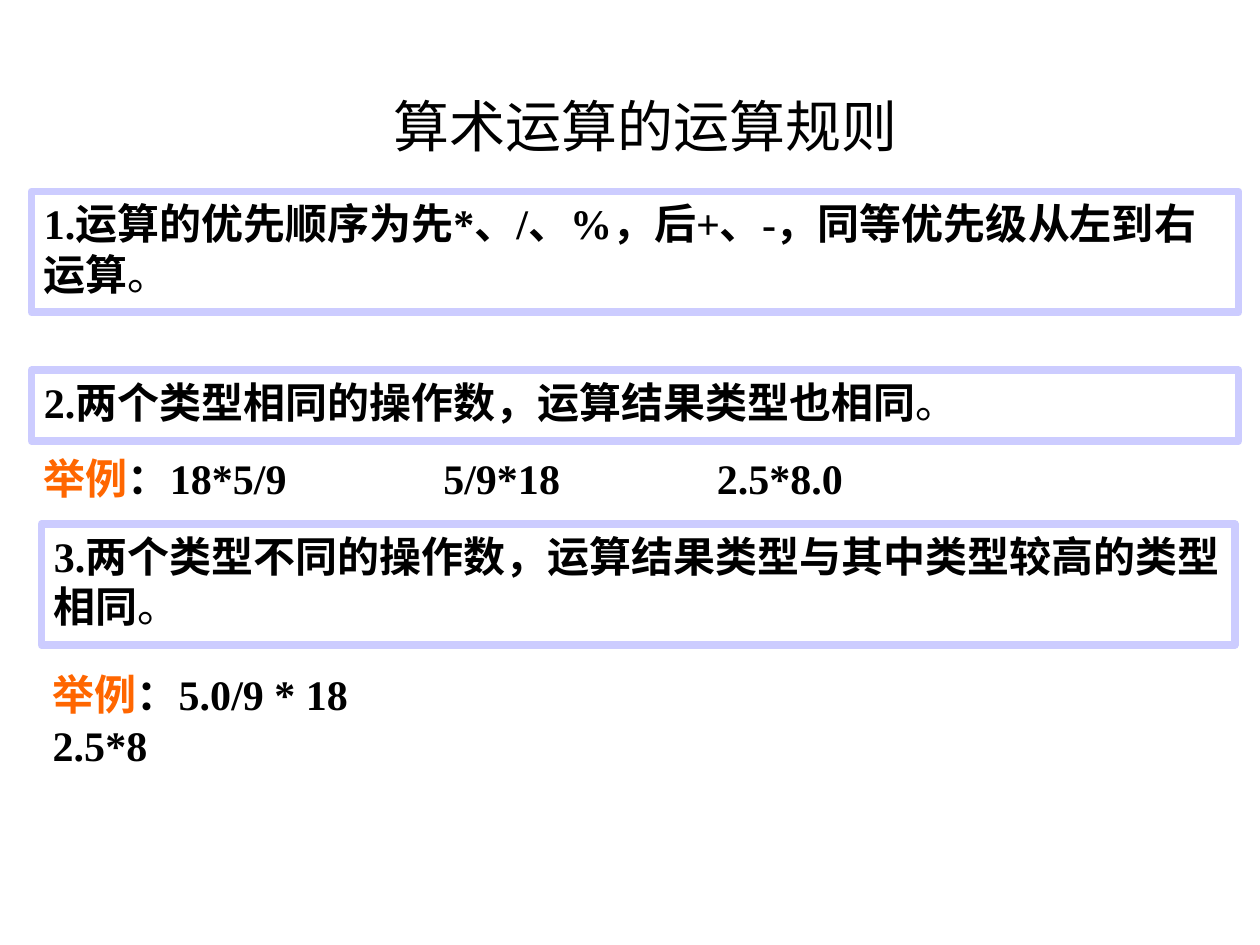
from lxml import etree
from pptx import Presentation
from pptx import util as u
from pptx.dml import color
from pptx.enum import shapes, text
from pptx.oxml import ns

HUES = {"ink": "000000", "tag": "FF6600", "edge": "CCCCFF"}
HAN = "Noto Sans CJK SC"
BODY = {"name": "Times New Roman", "size": u.Pt(24), "bold": True}
HEAD = {"name": HAN, "size": u.Pt(32), "bold": False}


def rgb(key):
    return color.RGBColor.from_string(HUES[key])


def add_run(para, words, style, hue="ink"):
    run = para.add_run()
    run.text = words
    for key, val in style.items():
        setattr(run.font, key, val)
    run.font.color.rgb = rgb(hue)
    props = run.font._element
    east = etree.Element(ns.qn("a:ea"), typeface=HAN)
    props.find(ns.qn("a:latin")).addnext(east)
    return props


def add_shade(props):
    list_el = etree.Element(ns.qn("a:effectLst"))
    shade = etree.SubElement(list_el, ns.qn("a:outerShdw"),
                             dist="38100", dir="2700000", algn="tl")
    tint = etree.SubElement(shade, ns.qn("a:srgbClr"), val=HUES["ink"])
    etree.SubElement(tint, ns.qn("a:alpha"), val="50000")
    props.find(ns.qn("a:solidFill")).addnext(list_el)


def set_title(slide, box):
    title = slide.shapes.title
    for key, val in zip(("left", "top", "width", "height"), box):
        setattr(title, key, u.Inches(val))
    frame = title.text_frame
    frame.vertical_anchor = text.MSO_ANCHOR.BOTTOM
    para = frame.paragraphs[0]
    para.alignment = text.PP_ALIGN.CENTER
    add_shade(add_run(para, "算术运算的运算规则", HEAD))


def add_rule(slide, box, words):
    rule = slide.shapes.add_shape(shapes.MSO_SHAPE.RECTANGLE, *map(u.Inches, box))
    rule.shadow.inherit = False
    rule.fill.background()
    rule.line.color.rgb = rgb("edge")
    rule.line.width = u.Pt(4.5)
    frame = rule.text_frame
    frame.word_wrap = True
    frame.vertical_anchor = text.MSO_ANCHOR.TOP
    para = frame.paragraphs[0]
    para.alignment = text.PP_ALIGN.LEFT
    add_run(para, words, BODY)
    add_run(para, "。", {**BODY, "bold": False})


def add_case(slide, box, lines, stops=()):
    frame = slide.shapes.add_textbox(*map(u.Inches, box)).text_frame
    frame.word_wrap = True
    para = frame.paragraphs[0]
    if stops:
        tabs = etree.SubElement(para._p.get_or_add_pPr(), ns.qn("a:tabLst"))
        for stop in stops:
            etree.SubElement(tabs, ns.qn("a:tab"), pos=str(u.Inches(stop)), algn="l")
    add_run(para, "举例", BODY, "tag")
    for num, line in enumerate(lines):
        if num:
            para.add_line_break()
        add_run(para, line, BODY)


def main():
    deck = Presentation()
    deck.slide_width, deck.slide_height = u.Inches(10), u.Inches(7.5)
    slide = deck.slides.add_slide(deck.slide_layouts[5])
    set_title(slide, (0.75, 0.06, 8.75, 1.25))
    add_rule(slide, (0.25, 1.52, 9.58, 0.96),
             "1.运算的优先顺序为先*、/、%，后+、-，同等优先级从左到右运算")
    add_case(slide, (0.25, 3.54, 9.58, 0.5),
             ["：18*5/9\t5/9*18\t2.5*8.0"], (3.17, 5.34))
    add_rule(slide, (0.25, 2.94, 9.58, 0.56),
             "2.两个类型相同的操作数，运算结果类型也相同")
    add_rule(slide, (0.33, 4.16, 9.47, 0.96),
             "3.两个类型不同的操作数，运算结果类型与其中类型较高的类型相同")
    add_case(slide, (0.32, 5.26, 4.29, 0.5), ["：5.0/9 * 18", "2.5*8"])
    deck.save("out.pptx")


if __name__ == "__main__":
    main()
